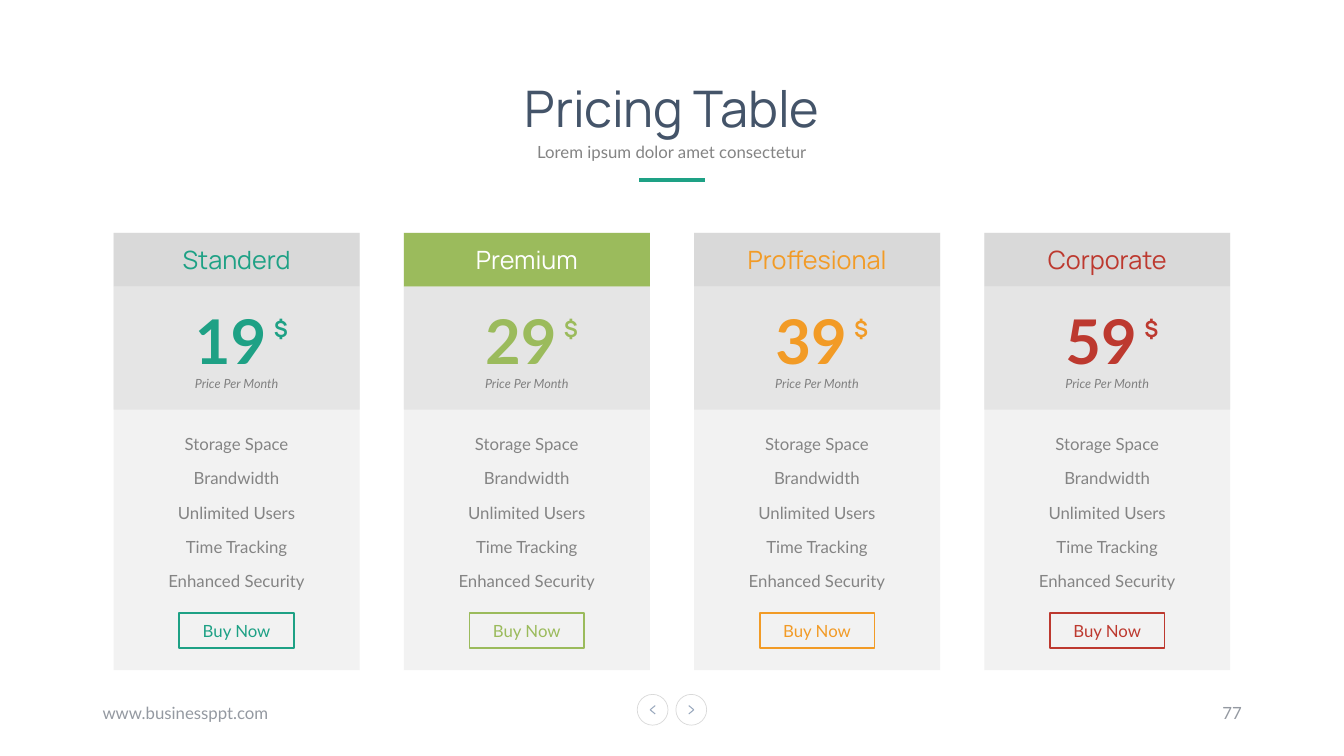
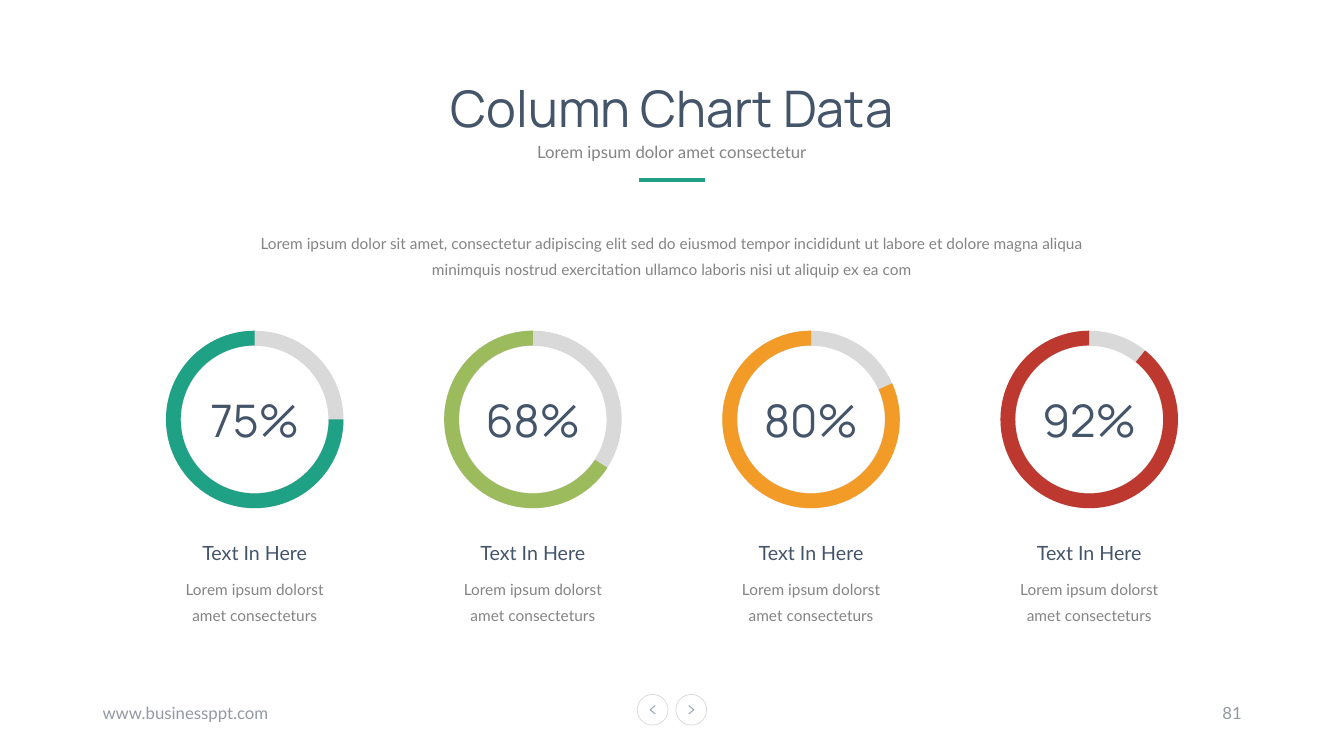
from collections import namedtuple

from pptx import Presentation
from pptx.dml.color import RGBColor
from pptx.enum.shapes import MSO_CONNECTOR, MSO_SHAPE
from pptx.enum.text import MSO_ANCHOR, PP_ALIGN
from pptx.oxml.ns import qn
from pptx.util import Pt
from lxml.etree import SubElement

Box = namedtuple("Box", "left top width height")
Style = namedtuple("Style", "size color font bold italic", defaults=("Lato", False, False))

WIDTH, HEIGHT = 960, 540
TEAL, GREEN, ORANGE, RED = ACCENTS = ("1EA185", "9BBB5C", "F29B26", "BD392F")
NAVY, GRAY, FOOTER_GRAY, ARROW_GRAY = "445469", "848484", "9499A1", "99A8BD"
LIGHT, BAND, SILVER, WHITE = "F2F2F2", "E5E5E5", "D9D9D9", "FFFFFF"

TITLE_STYLE = Style(36, NAVY, "Manrope")
BODY_STYLE = Style(12, GRAY)
SMALL_STYLE = Style(11, GRAY)
FOOTER_STYLE = Style(12, FOOTER_GRAY)

FEATURES = ["Storage Space", "Brandwidth", "Unlimited Users", "Time Tracking", "Enhanced Security"]
PLANS = [
    ("Standerd", "19", TEAL, SILVER, TEAL),
    ("Premium", "29", GREEN, GREEN, WHITE),
    ("Proffesional", "39", ORANGE, SILVER, ORANGE),
    ("Corporate", "59", RED, SILVER, RED),
]
RINGS = [("75%", 0), ("68%", 33), ("80%", 336), ("92%", 309)]
ARC_END = 270
ADJUSTMENT_PER_DEGREE = 0.6


def color_of(value):
    return RGBColor.from_string(value)


def points(box):
    return [Pt(length) for length in box]


def inside(box, left, top, width, height):
    return Box(box.left + left, box.top + top, width, height)


def centered_row(count, pitch, width, top, height):
    first = (WIDTH - (count - 1) * pitch - width) / 2
    return [Box(first + index * pitch, top, width, height) for index in range(count)]


def write(shape, lines, style, align=PP_ALIGN.CENTER, anchor=MSO_ANCHOR.TOP, spacing=1.0, gap=0):
    frame = shape.text_frame
    frame.word_wrap = True
    frame.vertical_anchor = anchor
    for index, line in enumerate(lines):
        paragraph = frame.add_paragraph() if index else frame.paragraphs[0]
        paragraph.alignment = align
        paragraph.line_spacing = spacing
        paragraph.space_before = Pt(gap if index else 0)
        run = paragraph.add_run()
        run.text = line
        run.font.name = style.font
        run.font.size = Pt(style.size)
        run.font.bold = style.bold
        run.font.italic = style.italic
        run.font.color.rgb = color_of(style.color)


def add_text(slide, box, lines, style, **layout):
    shape = slide.shapes.add_textbox(*points(box))
    write(shape, lines, style, **layout)


def add_shape(slide, kind, box, fill=None, line=None, line_width=1):
    shape = slide.shapes.add_shape(kind, *points(box))
    shape.shadow.inherit = False
    if fill:
        shape.fill.solid()
        shape.fill.fore_color.rgb = color_of(fill)
    else:
        shape.fill.background()
    if line:
        shape.line.color.rgb = color_of(line)
        shape.line.width = Pt(line_width)
    else:
        shape.line.fill.background()
    return shape


def add_line(slide, start, end, color, width):
    connector = slide.shapes.add_connector(MSO_CONNECTOR.STRAIGHT, *points(start + end))
    connector.line.color.rgb = color_of(color)
    connector.line.width = Pt(width)
    SubElement(connector._element.spPr, qn("a:effectLst"))


def add_heading(slide, box, title, subtitle):
    placeholder = slide.shapes.title
    placeholder.left, placeholder.top, placeholder.width, placeholder.height = points(
        inside(box, 0, 0, box.width, 51))
    write(placeholder, [title], TITLE_STYLE)
    add_text(slide, inside(box, 61, 40.2, 340, 27), [subtitle], BODY_STYLE, spacing=1.4)
    middle, bar_top = box.left + box.width / 2, box.top + 77
    add_line(slide, (middle - 23.5, bar_top), (middle + 23.5, bar_top), TEAL, 3)


def add_navigation_button(slide, box, direction):
    add_shape(slide, MSO_SHAPE.OVAL, box, line=SILVER, line_width=0.5)
    middle_x, middle_y = box.left + box.width / 2, box.top + box.height / 2
    tip = (middle_x + 1.8 * direction, middle_y)
    for rise in (-3, 3):
        add_line(slide, tip, (middle_x - 1.8 * direction, middle_y + rise), ARROW_GRAY, 0.75)


def add_footer(slide, box, page):
    add_text(slide, inside(box, 0, 0, 324, box.height), ["www.businessppt.com"], FOOTER_STYLE,
             align=PP_ALIGN.LEFT, anchor=MSO_ANCHOR.MIDDLE)
    add_text(slide, inside(box, box.width - 216, 0, 216, box.height), [page], FOOTER_STYLE,
             align=PP_ALIGN.RIGHT, anchor=MSO_ANCHOR.MIDDLE)
    for button, direction in zip(centered_row(2, 27.6, 22, box.top + 1.2, 22), (-1, 1)):
        add_navigation_button(slide, button, direction)


def add_content_slide(presentation, title, page):
    slide = presentation.slides.add_slide(presentation.slide_layouts[5])
    add_heading(slide, Box(249, 51.8, 462, 77), title, "Lorem ipsum dolor amet consectetur")
    add_footer(slide, Box(66.2, 494.8, 828, 28.8), page)
    return slide


def add_plan_card(slide, box, name, price, accent, header_fill, header_color):
    add_shape(slide, MSO_SHAPE.RECTANGLE, box, LIGHT)
    header = add_shape(slide, MSO_SHAPE.RECTANGLE, inside(box, 0, 0, box.width, 38.4), header_fill)
    write(header, [name], Style(18, header_color, "Manrope"), anchor=MSO_ANCHOR.MIDDLE)
    add_shape(slide, MSO_SHAPE.RECTANGLE, inside(box, 0, 38.4, box.width, 88), BAND)
    add_text(slide, inside(box, 43.2, 46.8, 80.6, 60.5), [price], Style(44, accent, bold=True))
    add_text(slide, inside(box, 107.3, 55.4, 30, 26.6), ["$"],
             Style(16, accent, "Manrope", bold=True), align=PP_ALIGN.LEFT)
    add_text(slide, inside(box, 23, 98.6, 129.6, 18), ["Price Per Month"],
             Style(9, "808080", italic=True))
    add_text(slide, inside(box, 23, 139.8, 129.6, 120), FEATURES, BODY_STYLE, gap=10.2)
    button = add_shape(slide, MSO_SHAPE.RECTANGLE, inside(box, 46.8, 271.4, 82, 25.2),
                       line=accent, line_width=1.25)
    write(button, ["Buy Now"], Style(12, accent), anchor=MSO_ANCHOR.MIDDLE)


def add_percentage_ring(slide, box, percentage, start, accent):
    ring = inside(box, 0, 0, box.width, box.width)
    track = add_shape(slide, MSO_SHAPE.DONUT, ring, SILVER)
    track.adjustments[0] = 0.085
    arc = add_shape(slide, MSO_SHAPE.BLOCK_ARC, ring, accent)
    arc.adjustments[0] = start * ADJUSTMENT_PER_DEGREE
    arc.adjustments[1] = ARC_END * ADJUSTMENT_PER_DEGREE
    arc.adjustments[2] = 0.083
    add_text(slide, ring, [percentage], Style(32, NAVY, "Manrope"), anchor=MSO_ANCHOR.MIDDLE)
    add_text(slide, inside(box, 4, 146.8, 118.8, 24.5), ["Text In Here"], Style(14, NAVY))
    add_text(slide, inside(box, -2.6, 169.2, 132, 42.5),
             ["Lorem ipsum dolorst amet consecteturs"], SMALL_STYLE, spacing=1.4)


def build_pricing_slide(presentation):
    slide = add_content_slide(presentation, "Pricing Table", "77")
    for box, plan in zip(centered_row(len(PLANS), 207.3, 175.7, 166.3, 312.5), PLANS):
        add_plan_card(slide, box, *plan)


def build_chart_slide(presentation):
    slide = add_content_slide(presentation, "Column Chart Data", "81")
    add_text(slide, Box(106.4, 158.4, 747.2, 42.5), [
        "Lorem ipsum dolor sit amet, consectetur adipiscing elit sed do eiusmod tempor "
        "incididunt ut labore et dolore magna aliqua",
        "minimquis nostrud exercitation ullamco laboris nisi ut aliquip ex ea com",
    ], SMALL_STYLE, spacing=1.4)
    boxes = centered_row(len(RINGS), 198.7, 126.8, 236.2, 212)
    for box, (percentage, start), accent in zip(boxes, RINGS, ACCENTS):
        add_percentage_ring(slide, box, percentage, start, accent)


def main():
    presentation = Presentation()
    presentation.slide_width, presentation.slide_height = Pt(WIDTH), Pt(HEIGHT)
    build_pricing_slide(presentation)
    build_chart_slide(presentation)
    presentation.save("out.pptx")


if __name__ == "__main__":
    main()
